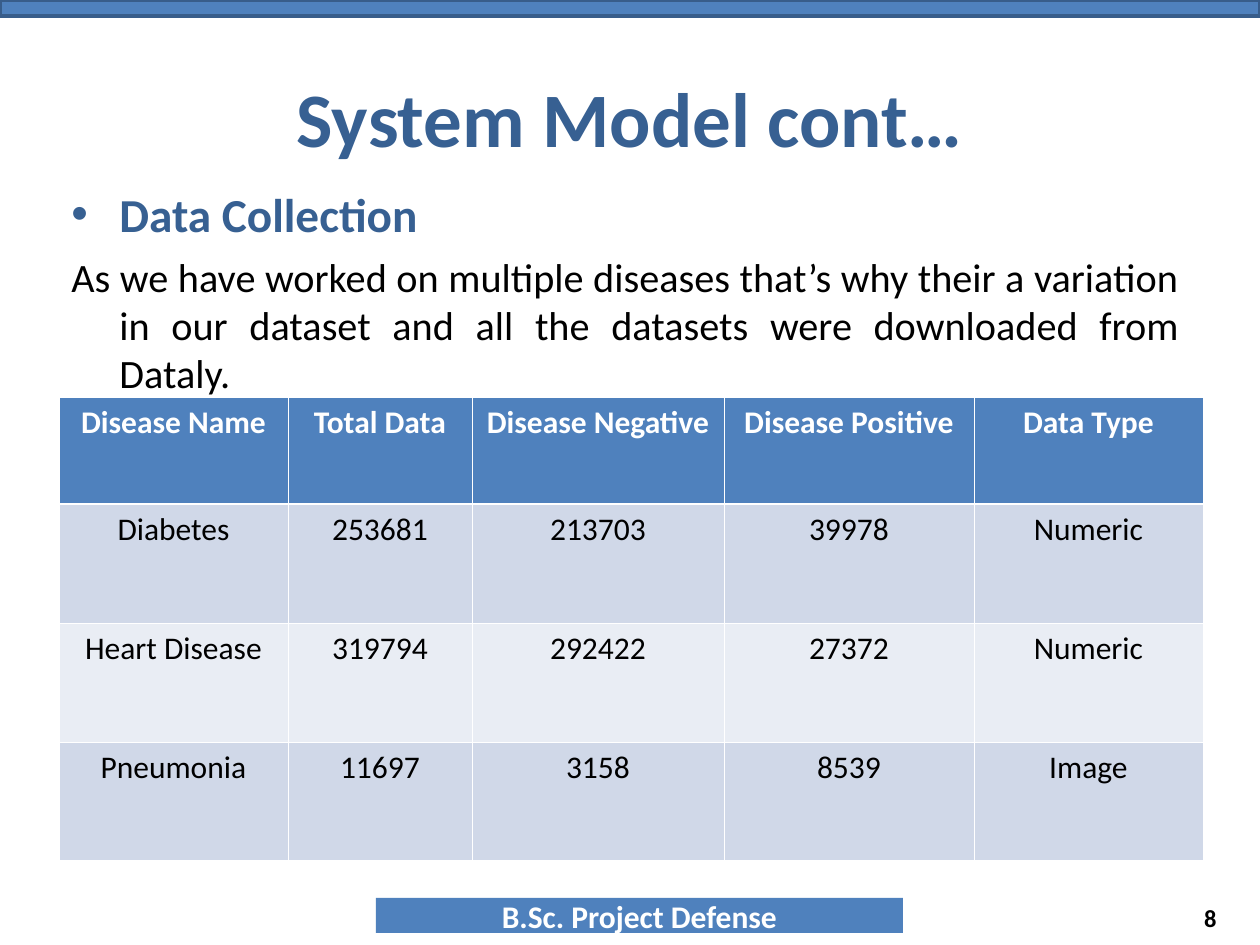
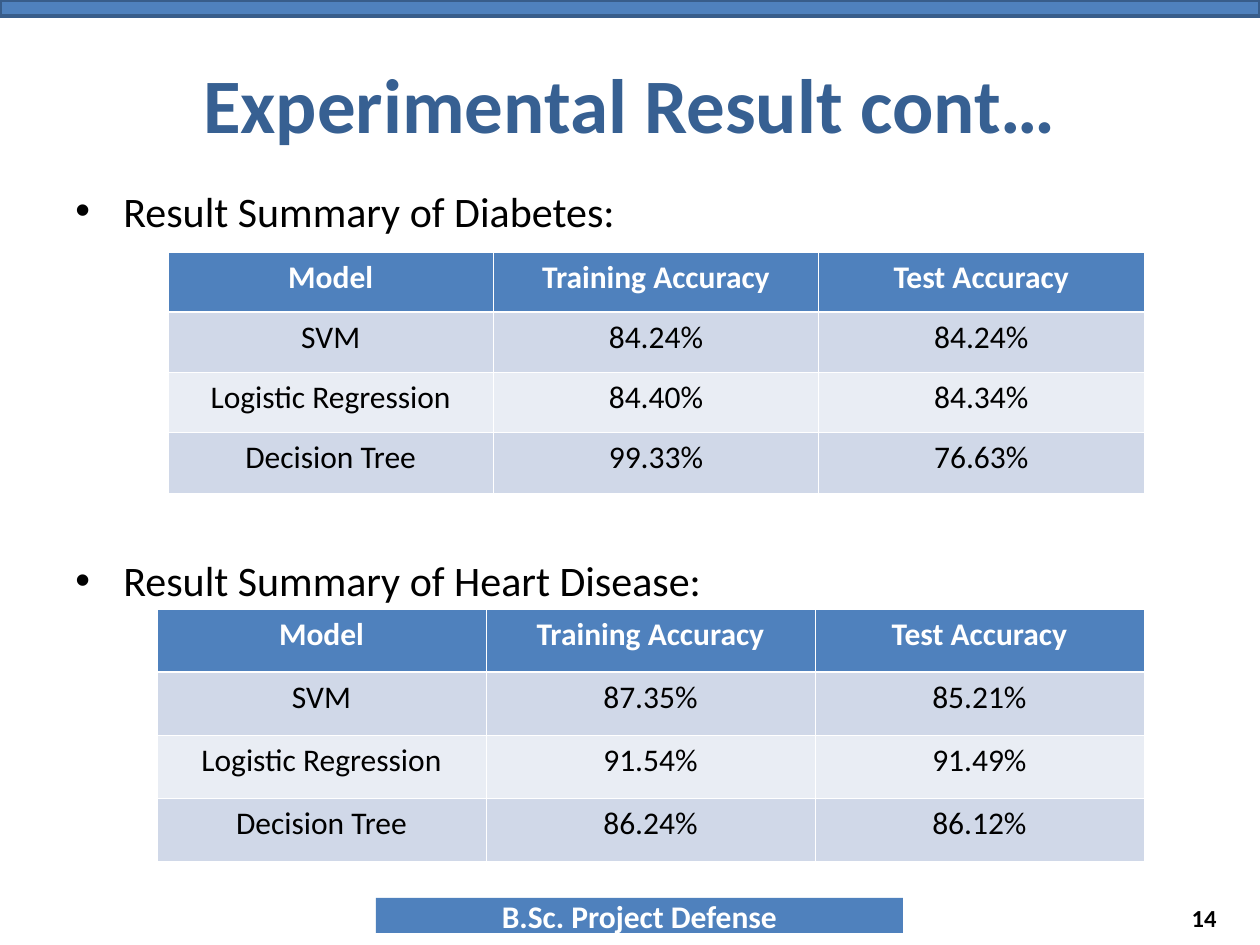
from lxml.etree import SubElement
from pptx import Presentation
from pptx.dml.color import RGBColor
from pptx.enum.shapes import MSO_SHAPE as Shape
from pptx.enum.text import MSO_ANCHOR as Anchor, MSO_AUTO_SIZE as AutoSize, PP_ALIGN as Align
from pptx.oxml.ns import qn
from pptx.util import Emu, Pt

# Shared look
FONT = "Calibri"
BLUE, BLUE_EDGE, TITLE_BLUE = "4F81BD", "385D8A", "376092"
WHITE, BLACK = "FFFFFF", "000000"
ROW_FILLS = ("D0D8E8", "E9EDF4")
THIN, THICK = 0.45, 1.47
INDENT = 48
TITLE_ONLY = 5

# Boxes are left, top, width, height in px
PAGE_WIDTH, PAGE_HEIGHT = 1260, 945
FOOTER_BOX = (376, 898, 527, 35)
NUMBER_BOX = (935, 893, 294, 50)

DATASETS = [
    ("Disease Name", "Total Data", "Disease Negative", "Disease Positive", "Data Type"),
    ("Diabetes", "253681", "213703", "39978", "Numeric"),
    ("Heart Disease", "319794", "292422", "27372", "Numeric"),
    ("Pneumonia", "11697", "3158", "8539", "Image"),
]
RESULT_HEADER = ("Model", "Training Accuracy", "Test Accuracy")
DIABETES_RESULTS = [
    RESULT_HEADER,
    ("SVM", "84.24%", "84.24%"),
    ("Logistic Regression", "84.40%", "84.34%"),
    ("Decision Tree", "99.33%", "76.63%"),
]
HEART_RESULTS = [
    RESULT_HEADER,
    ("SVM", "87.35%", "85.21%"),
    ("Logistic Regression", "91.54%", "91.49%"),
    ("Decision Tree", "86.24%", "86.12%"),
]


def px(length):
    return Emu(round(length * 914400 / 126))


def place(box):
    return [px(length) for length in box]


def color(hex_string):
    return RGBColor.from_string(hex_string)


def write(para, text, size, ink, bold=False, align=Align.LEFT):
    para.text = text
    para.alignment = align
    font = para.font
    font.name, font.size, font.bold = FONT, Pt(size), bold
    font.color.rgb = color(ink)


def indent(para, space_before, bullet_color=None):
    """Hang the first line, with a bullet if a colour is given."""
    para.space_before = Pt(space_before)
    props = para._p.get_or_add_pPr()
    props.set("marL", str(px(INDENT)))
    props.set("indent", str(-px(INDENT)))
    if bullet_color:
        tint = SubElement(props, qn("a:buClr"))
        SubElement(tint, qn("a:srgbClr"), val=bullet_color)
        SubElement(props, qn("a:buFont"), typeface="Arial")
        SubElement(props, qn("a:buChar"), char="•")
    else:
        SubElement(props, qn("a:buNone"))


def add_bar(page, box, edge=None):
    bar = page.shapes.add_shape(Shape.RECTANGLE, *place(box))
    bar.shadow.inherit = False
    bar.fill.solid()
    bar.fill.fore_color.rgb = color(BLUE)
    if edge:
        bar.line.color.rgb = color(edge)
        bar.line.width = Pt(2)
    else:
        bar.line.fill.background()
    return bar


def add_text_frame(page, box):
    frame = page.shapes.add_textbox(*place(box)).text_frame
    frame.word_wrap = True
    return frame


def add_page(deck, title, title_box, number):
    """Page with top band, title, footer bar and page number."""
    page = deck.slides.add_slide(deck.slide_layouts[TITLE_ONLY])
    add_bar(page, (0, 0, PAGE_WIDTH, 16), BLUE_EDGE)

    # Title
    heading = page.shapes.title
    heading.left, heading.top, heading.width, heading.height = place(title_box)
    heading.text_frame.auto_size = AutoSize.NONE
    heading.text_frame.vertical_anchor = Anchor.MIDDLE
    write(heading.text_frame.paragraphs[0], title, 44, TITLE_BLUE, True, Align.CENTER)

    # Footer and page number
    footer = add_bar(page, FOOTER_BOX).text_frame
    footer.vertical_anchor = Anchor.MIDDLE
    write(footer.paragraphs[0], "B.Sc. Project Defense", 18, WHITE, True, Align.CENTER)
    corner = add_text_frame(page, NUMBER_BOX)
    corner.vertical_anchor = Anchor.MIDDLE
    write(corner.paragraphs[0], str(number), 14, BLACK, True, Align.RIGHT)
    return page


def set_borders(cell, top, bottom):
    props = cell._tc.get_or_add_tcPr()
    for side, width in (("L", THIN), ("R", THIN), ("T", top), ("B", bottom)):
        line = SubElement(props, qn(f"a:ln{side}"), w=str(Pt(width)))
        fill = SubElement(line, qn("a:solidFill"))
        SubElement(fill, qn("a:srgbClr"), val=WHITE)


def add_data_table(page, box, rows, widths=(), heights=()):
    """Banded table; columns and rows are equal unless sizes are given."""
    table = page.shapes.add_table(len(rows), len(rows[0]), *place(box)).table
    for column, width in zip(table.columns, widths):
        column.width = px(width)
    for row, height in zip(table.rows, heights):
        row.height = px(height)
    for r, values in enumerate(rows):
        header = r == 0
        for c, value in enumerate(values):
            cell = table.cell(r, c)
            set_borders(cell, THICK if r == 1 else THIN, THICK if header else THIN)
            cell.fill.solid()
            cell.fill.fore_color.rgb = color(BLUE if header else ROW_FILLS[(r - 1) % 2])
            write(cell.text_frame.paragraphs[0], value, 18,
                  WHITE if header else BLACK, header, Align.CENTER)


def add_data_page(deck):
    page = add_page(deck, "System Model cont…", (63, 38, 1134, 157), 8)

    # Heading and explanation
    frame = add_text_frame(page, (59, 179, 1134, 640))
    topic = frame.paragraphs[0]
    indent(topic, 6.8, TITLE_BLUE)
    write(topic, "Data Collection", 27, TITLE_BLUE, True, Align.JUSTIFY)
    reason = frame.add_paragraph()
    indent(reason, 5.8)
    write(reason, "As we have worked on multiple diseases that’s why their a variation in our "
          "dataset and all the datasets were downloaded from Dataly.",
          23, BLACK, align=Align.JUSTIFY)

    # Dataset sizes
    add_data_table(page, (59, 397, 1144, 464), DATASETS,
                   widths=(229, 184, 252, 250, 229), heights=(107, 119, 119, 119))


def add_results_page(deck):
    page = add_page(deck, "Experimental Result cont…", (63, 38, 1134, 130), 14)

    # Headings, the second one set below the first table
    frame = add_text_frame(page, (63, 179, 1134, 672))
    diabetes, heart = frame.paragraphs[0], frame.add_paragraph()
    for para, disease, gap in ((diabetes, "Diabetes", 6), (heart, "Heart Disease", 182.5)):
        indent(para, gap, BLACK)
        write(para, f"Result Summary of {disease}:", 24, BLACK)

    # Accuracy tables
    add_data_table(page, (168, 252, 976, 241), DIABETES_RESULTS)
    add_data_table(page, (157, 609, 987, 252), HEART_RESULTS)


def main():
    deck = Presentation()
    deck.slide_width, deck.slide_height = px(PAGE_WIDTH), px(PAGE_HEIGHT)
    add_data_page(deck)
    add_results_page(deck)
    deck.save("out.pptx")


if __name__ == "__main__":
    main()
